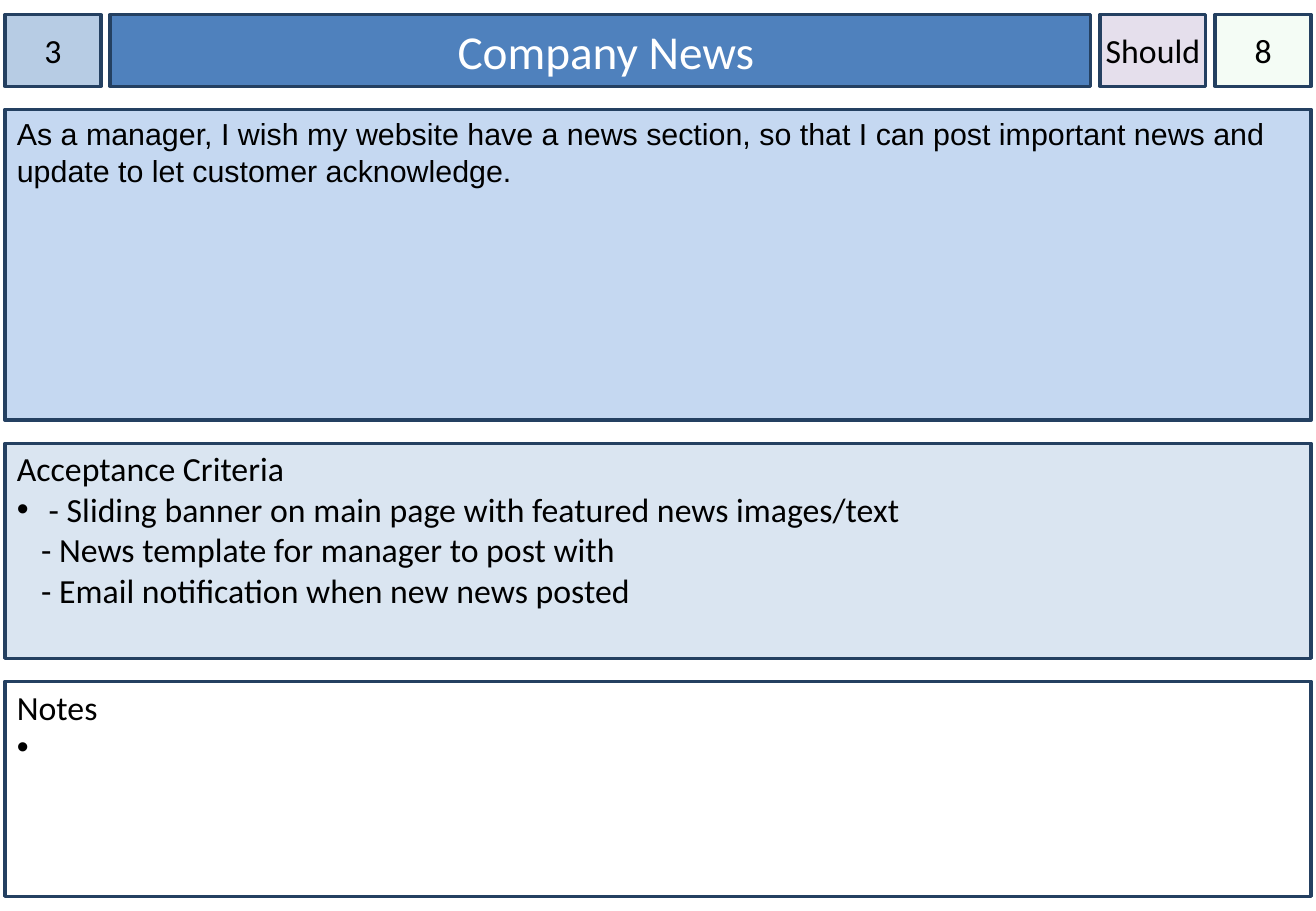
from itertools import accumulate

from lxml.etree import SubElement
from pptx import Presentation
from pptx.dml.color import RGBColor as RGB
from pptx.enum.shapes import MSO_SHAPE as SHAPE
from pptx.enum.text import MSO_ANCHOR as ANCHOR, MSO_AUTO_SIZE as FIT, PP_ALIGN as ALIGN
from pptx.oxml.ns import qn
from pptx.util import Inches, Pt

COLORS = {
    "edge": "244061", "text": "000000", "white": "FFFFFF", "id": "B7CCE4",
    "title": "4F81BD", "story": "C5D8F1", "criteria": "DAE5F1",
    "priority": "E5DFEC", "points": "CCF0CD",
}
LEFT, TOP = 0.04, 0.12
WIDTH = 10.75
COL_WIDTHS = [0.79, 8.07, 0.87, 0.79]
ROW_HEIGHTS = [0.59, 2.56, 1.77, 1.77]
COL_GAP = (WIDTH - sum(COL_WIDTHS)) / (len(COL_WIDTHS) - 1)
ROW_GAP = 0.19


def starts(first, sizes, gap):
    """Start of each track in a row of tracks with equal gaps."""
    return list(accumulate((size + gap for size in sizes[:-1]), initial=first))


class StoryCard:
    def __init__(self, prs):
        self.s = prs.slides.add_slide(prs.slide_layouts[5])
        self.cols = starts(LEFT, COL_WIDTHS, COL_GAP)
        self.rows = starts(TOP, ROW_HEIGHTS, ROW_GAP)

    def cell(self, row, col=None):
        """Box of a grid cell; without a column it spans the whole row."""
        x, w = (LEFT, WIDTH) if col is None else (self.cols[col], COL_WIDTHS[col])
        return [Inches(v) for v in (x, self.rows[row], w, ROW_HEIGHTS[row])]

    def box(self, place):
        sp = self.s.shapes.add_shape(SHAPE.RECTANGLE, *place)
        sp.shadow.inherit = False
        return sp

    def paint(self, sp, fill, alpha=None):
        sp.fill.solid()
        sp.fill.fore_color.rgb = RGB.from_string(COLORS[fill])
        sp.line.color.rgb = RGB.from_string(COLORS["edge"])
        sp.line.width = Pt(2)
        if alpha:
            color = sp.element.spPr.find(".//" + qn("a:srgbClr"))
            SubElement(color, qn("a:alpha"), val=str(alpha * 1000))

    def bullet(self, p):
        pPr = p._p.get_or_add_pPr()
        pPr.set("marL", str(Inches(0.2)))
        pPr.set("indent", str(-Inches(0.2)))
        SubElement(pPr, qn("a:buFont"), typeface="Arial")
        SubElement(pPr, qn("a:buChar"), char="•")

    def put_text(self, sp, lines, align=ALIGN.LEFT, anchor=ANCHOR.TOP, side=0.1,
                 top=0.05, size=20, font="Calibri", color="text"):
        """First line is plain, any further one is a bullet."""
        tf = sp.text_frame
        frame = {"word_wrap": True, "auto_size": FIT.NONE, "vertical_anchor": anchor,
                 "margin_left": Inches(side), "margin_right": Inches(side),
                 "margin_top": Inches(top), "margin_bottom": Inches(0.05)}
        for name, value in frame.items():
            setattr(tf, name, value)
        for i, line in enumerate(lines):
            p = tf.add_paragraph() if i else tf.paragraphs[0]
            p.text = line
            p.alignment = align
            if i:
                self.bullet(p)
            for r in p.runs:
                for name, value in {"size": Pt(size), "name": font}.items():
                    setattr(r.font, name, value)
                r.font.color.rgb = RGB.from_string(COLORS[color])

    def title(self, text):
        sp = self.s.shapes.title
        sp.left, sp.top, sp.width, sp.height = self.cell(0, 1)
        self.paint(sp, "title")
        self.put_text(sp, [text], ALIGN.CENTER, ANCHOR.MIDDLE, size=28, color="white")

    def badge(self, col, text, fill, alpha=None):
        sp = self.box(self.cell(0, col))
        self.paint(sp, fill, alpha)
        self.put_text(sp, [text], ALIGN.CENTER, ANCHOR.MIDDLE, side=0)

    def panel(self, row, lines, fill, **style):
        sp = self.box(self.cell(row))
        self.paint(sp, fill)
        self.put_text(sp, lines, **style)


def main():
    prs = Presentation()
    prs.slide_width, prs.slide_height = Inches(10.83), Inches(7.5)
    card = StoryCard(prs)

    # Header: number, title, priority, points
    card.title(" Company News")
    card.badge(0, "3", "id")
    card.badge(2, "Should", "priority")
    card.badge(3, "8", "points", alpha=20)

    # User story
    card.panel(1, ["As a manager, I wish my website have a news section, so that I can "
                   "post important news and update to let customer acknowledge."],
               "story", size=18, font="Arial")

    # Acceptance criteria and notes
    criteria = [" - Sliding banner on main page with featured news images/text",
                "- News template for manager to post with",
                "- Email notification when new news posted"]
    card.panel(2, ["Acceptance Criteria", "\v".join(criteria)], "criteria", top=0.04)
    card.panel(3, ["Notes", " "], "white", top=0.04)

    prs.save("out.pptx")


if __name__ == "__main__":
    main()
